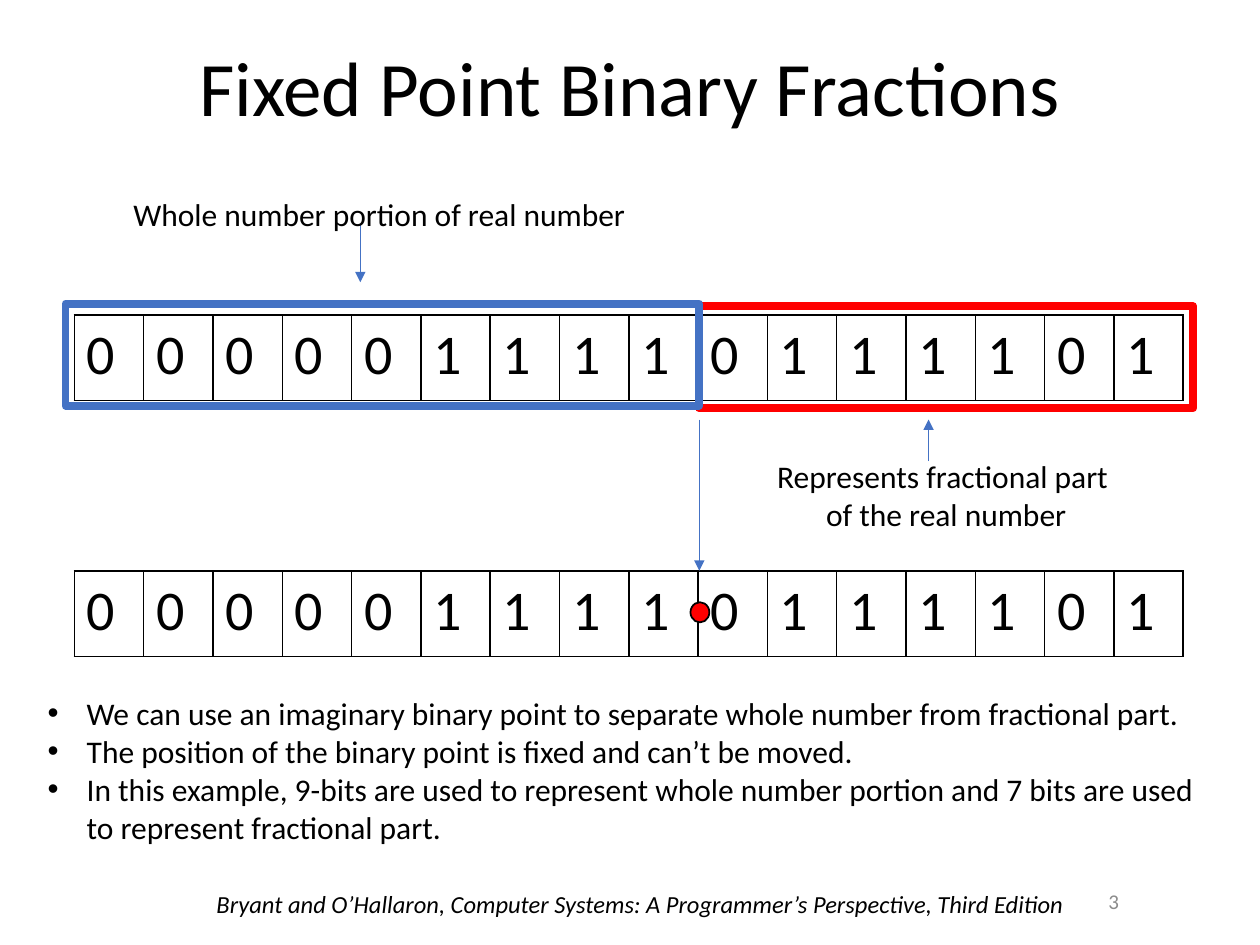
from lxml import etree
from pptx import Presentation
from pptx import util as u
from pptx.dml.color import RGBColor
from pptx.enum import shapes, text
from pptx.oxml import ns

BLACK, RED, BLUE, GREY = "000000", "FF0000", "4472C4", "8C8C8C"
FONT = "Calibri"
LEFT, CENTER, RIGHT = text.PP_ALIGN.LEFT, text.PP_ALIGN.CENTER, text.PP_ALIGN.RIGHT

BITS = "0000011110111101"
WHOLE_BITS = 9
BIT_LEFT, BIT_WIDTH, BIT_HEIGHT = 0.59, 0.55, 0.68
REGISTER_TOPS = (2.5, 4.53)
POINT_X = BIT_LEFT + WHOLE_BITS * BIT_WIDTH + 0.01

TITLE = ["Fixed Point Binary Fractions"]
WHOLE_LABEL = ["Whole number portion of real number"]
FRACTION_LABEL = ["Represents fractional part ", "of the real number"]
NOTES = [
    "We can use an imaginary binary point to separate whole number from fractional part.",
    "The position of the binary point is fixed and can’t be moved.",
    "In this example, 9-bits are used to represent whole number portion and 7 bits are used to represent fractional part.",
]
CITATION = ["Bryant and O’Hallaron, Computer Systems: A Programmer’s Perspective, Third Edition"]
PAGE = ["3"]

OUTLINES = [
    (POINT_X, 2.43, 3.92, RED),
    (0.52, 2.41, POINT_X - 0.52, BLUE),
]
OUTLINE_HEIGHT = 0.81
ARROWS = [
    (7.37, 3.66, 3.33),
    (POINT_X, 3.33, REGISTER_TOPS[1]),
    (2.86, 1.78, 2.24),
]


def color(value):
    return RGBColor.from_string(value)


def inches(*lengths):
    return [u.Inches(length) for length in lengths]


def child(parent, tag, **attributes):
    return etree.SubElement(parent, ns.qn(tag), attributes)


def write(paragraph, words, size, ink=BLACK, italic=False):
    run = paragraph.add_run()
    run.text = words
    run.font.name = FONT
    run.font.size = u.Pt(size)
    run.font.italic = italic
    run.font.color.rgb = color(ink)


def add_text(slide, box, lines, size, ink=BLACK, align=LEFT, italic=False,
             wrap=True, middle=False, bullets=False, spacing=None):
    frame = slide.shapes.add_textbox(*inches(*box)).text_frame
    frame.word_wrap = wrap
    frame.vertical_anchor = text.MSO_ANCHOR.MIDDLE if middle else text.MSO_ANCHOR.TOP
    for index, words in enumerate(lines):
        paragraph = frame.add_paragraph() if index else frame.paragraphs[0]
        paragraph.alignment = align
        paragraph.line_spacing = spacing
        if bullets:
            indent = u.Inches(0.31)
            properties = paragraph._p.get_or_add_pPr()
            properties.set("marL", str(indent))
            properties.set("indent", str(-indent))
            child(properties, "a:buFont", typeface="Arial")
            child(properties, "a:buChar", char="•")
        write(paragraph, words, size, ink, italic)


def add_register(slide, top):
    box = inches(BIT_LEFT, top, BIT_WIDTH * len(BITS), BIT_HEIGHT)
    register = slide.shapes.add_table(1, len(BITS), *box).table
    register.first_row = register.horz_banding = False
    for column, bit in enumerate(BITS):
        register.columns[column].width = u.Inches(BIT_WIDTH)
        cell = register.cell(0, column)
        write(cell.text_frame.paragraphs[0], bit, 32)
        properties = cell._tc.get_or_add_tcPr()
        for side in ("a:lnL", "a:lnR", "a:lnT", "a:lnB"):
            border = child(properties, side, w=str(u.Pt(1)))
            child(child(border, "a:solidFill"), "a:srgbClr", val=BLACK)
        cell.fill.background()


def add_figure(slide, kind, box, line, weight, fill=None):
    figure = slide.shapes.add_shape(kind, *inches(*box))
    figure.shadow.inherit = False
    figure.line.color.rgb = color(line)
    figure.line.width = u.Pt(weight)
    if fill:
        figure.fill.solid()
        figure.fill.fore_color.rgb = color(fill)
    else:
        figure.fill.background()


def add_arrow(slide, x, start, end):
    arrow = slide.shapes.add_connector(
        shapes.MSO_CONNECTOR.STRAIGHT, *inches(x, start, x, end))
    arrow.line.color.rgb = color(BLUE)
    arrow.line.width = u.Pt(0.5)
    child(arrow.line._get_or_add_ln(), "a:tailEnd", type="triangle")
    child(arrow._element.spPr, "a:effectLst")


def main():
    deck = Presentation()
    deck.slide_width, deck.slide_height = inches(10, 7.5)
    slide = deck.slides.add_slide(deck.slide_layouts[6])

    add_text(slide, (1.62, 7.01, 7.1, 0.34), CITATION, 14, italic=True)
    add_text(slide, (0, 0, 10, 1.45), TITLE, 44, align=CENTER, middle=True, spacing=0.9)
    add_text(slide, (8.57, 6.95, 0.41, 0.4), PAGE, 12, GREY, RIGHT, middle=True)
    for top in REGISTER_TOPS:
        add_register(slide, top)
    for left, top, width, line in OUTLINES:
        add_figure(slide, shapes.MSO_SHAPE.RECTANGLE,
                   (left, top, width, OUTLINE_HEIGHT), line, 4.5)
    add_figure(slide, shapes.MSO_SHAPE.OVAL,
               (POINT_X - 0.07, 4.78, 0.15, 0.16), BLACK, 1, RED)
    for arrow in ARROWS:
        add_arrow(slide, *arrow)
    add_text(slide, (6.05, 3.58, 2.92, 0.71), FRACTION_LABEL, 18, align=CENTER, wrap=False)
    add_text(slide, (0.96, 1.5, 4.16, 0.4), WHOLE_LABEL, 18, wrap=False)
    add_text(slide, (0.28, 5.46, 9.44, 1.31), NOTES, 18, bullets=True)

    deck.save("out.pptx")


if __name__ == "__main__":
    main()
